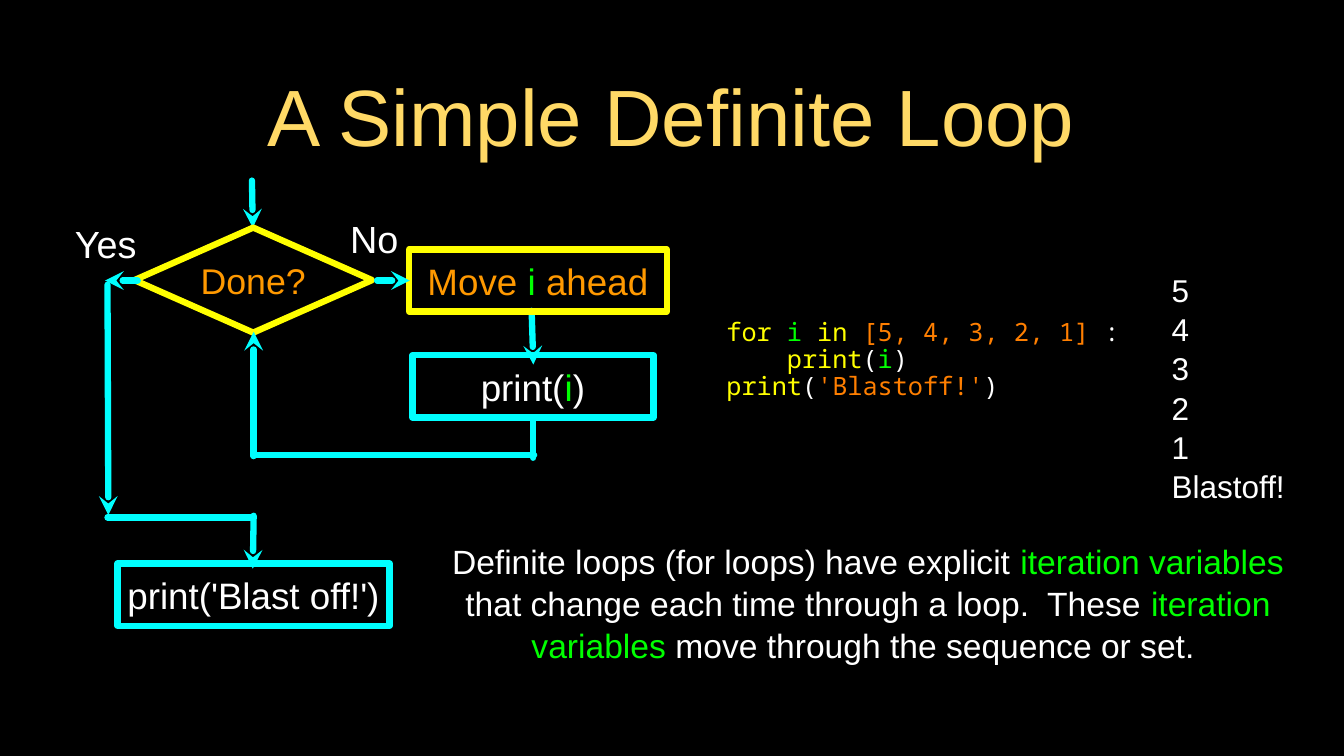
from lxml.etree import SubElement
from pptx import Presentation
from pptx.dml.color import RGBColor
from pptx.enum.shapes import MSO_CONNECTOR, MSO_SHAPE
from pptx.enum.text import MSO_ANCHOR, PP_ALIGN
from pptx.oxml.ns import qn
from pptx.util import Inches, Pt

BLACK = RGBColor(0x00, 0x00, 0x00)
WHITE = RGBColor(0xFF, 0xFF, 0xFF)
GOLD = RGBColor(0xFF, 0xD9, 0x66)
YELLOW = RGBColor(0xFF, 0xFF, 0x00)
GREEN = RGBColor(0x00, 0xFF, 0x00)
ORANGE = RGBColor(0xFF, 0x7F, 0x00)
AMBER = RGBColor(0xFF, 0x99, 0x00)
CYAN = RGBColor(0x00, 0xFF, 0xFF)


def write(frame, paragraphs, size=35, font="Arial", align=PP_ALIGN.CENTER, spacing=1.0, indents=()):
    """Fill a text frame with paragraphs made of (text, colour) runs."""
    frame.word_wrap = True
    frame.vertical_anchor = MSO_ANCHOR.MIDDLE
    frame.margin_left = frame.margin_right = frame.margin_top = frame.margin_bottom = 0
    for row, runs in enumerate(paragraphs):
        paragraph = frame.add_paragraph() if row else frame.paragraphs[0]
        paragraph.alignment = align
        paragraph.line_spacing = spacing
        if row in indents:
            paragraph._p.get_or_add_pPr().set("marL", str(Inches(0.8)))
        for text, colour in runs:
            run = paragraph.add_run()
            run.text = text
            run.font.name = font
            run.font.size = Pt(size)
            run.font.color.rgb = colour


class FlowSlide:
    """Draws elements on one slide, measured in a grid of 160 by 90 cells."""

    cell = Inches(1) / 9
    stroke = Pt(6)

    def __init__(self, deck):
        self.slide = deck.slides.add_slide(deck.slide_layouts[6])
        background = self.slide.background.fill
        background.solid()
        background.fore_color.rgb = BLACK

    def grid(self, *cells):
        return [round(count * self.cell) for count in cells]

    def style_line(self, line, colour):
        line.color.rgb = colour
        line.width = self.stroke
        outline = line._get_or_add_ln()
        outline.set("cap", "rnd")
        SubElement(outline, qn("a:round"))
        return outline

    def text(self, area, paragraphs, **style):
        box = self.slide.shapes.add_textbox(*self.grid(*area))
        write(box.text_frame, paragraphs, **style)

    def step(self, area, runs, colour, kind=MSO_SHAPE.RECTANGLE, **style):
        shape = self.slide.shapes.add_shape(kind, *self.grid(*area))
        shape.shadow.inherit = False
        shape.fill.background()
        self.style_line(shape.line, colour)
        write(shape.text_frame, [runs], **style)

    def flow(self, start, end, arrow=True):
        connector = self.slide.shapes.add_connector(MSO_CONNECTOR.STRAIGHT, *self.grid(*start, *end))
        outline = self.style_line(connector.line, CYAN)
        if arrow:
            SubElement(outline, qn("a:tailEnd"), type="stealth")
        SubElement(connector._element.spPr, qn("a:effectLst"))


deck = Presentation()
deck.slide_width, deck.slide_height = Inches(17.78), Inches(10)
loop = FlowSlide(deck)

loop.text((11.3, 8, 137.2, 11.2), [[("A Simple Definite Loop", GOLD)]], size=76)

code = [
    [("for ", YELLOW), ("i ", GREEN), ("in ", YELLOW), ("[5, 4, 3, 2, 1] ", ORANGE), (":", WHITE)],
    [("print", YELLOW), ("(", WHITE), ("i", GREEN), (")", WHITE)],
    [("print", YELLOW), ("(", WHITE), ("'Blastoff!'", ORANGE), (")", WHITE)],
]
loop.text((86.5, 34.7, 50.2, 16.4), code, size=24, font="Noto Sans Mono",
          align=PP_ALIGN.LEFT, spacing=0.9, indents=(1,))

output = [[(line, WHITE)] for line in ("5", "4", "3", "2", "1", "Blastoff!")]
loop.text((139.5, 30.2, 16.4, 31.8), output, size=30, align=PP_ALIGN.LEFT, spacing=1.04)

loop.flow((30, 21.5), (30.1, 27.1))
loop.step((16, 27.1, 28.3, 12.5), [("Done?", AMBER)], YELLOW, MSO_SHAPE.DIAMOND, size=34)

for start, end, arrow in (
    ((30.2, 54.3), (30.2, 39.5), True),
    ((63.3, 37), (63.5, 43.4), True),
    ((63.5, 49.7), (63.5, 54.5), False),
    ((30.2, 54.2), (63.6, 54.2), False),
    ((16.4, 33.4), (12.5, 33.4), True),
    ((30.2, 61.4), (30.1, 67.7), True),
    ((12.8, 33.9), (12.9, 61.3), True),
    ((12.8, 61.6), (30.1, 61.6), False),
):
    loop.flow(start, end, arrow)

loop.text((6.8, 25.9, 11.6, 6.1), [[("Yes", WHITE)]], size=36)
loop.step((14, 67.1, 32.4, 7.4), [("print('Blast off!')", WHITE)], CYAN)
loop.step((49.1, 42.3, 28.7, 7.4), [("print(", WHITE), ("i", GREEN), (")", WHITE)], CYAN)
loop.text((41, 25.3, 7.1, 6.1), [[("No", WHITE)]], size=36)
loop.step((48.7, 29.7, 30.7, 7.4), [("Move ", AMBER), ("i", GREEN), (" ahead", AMBER)], YELLOW)
loop.flow((44.9, 33.4), (48.8, 33.4))

summary = [
    ("Definite loops (for loops) have explicit ", WHITE),
    ("iteration variables ", GREEN),
    ("that change each time through a loop.  These ", WHITE),
    ("iteration variables", GREEN),
    (" move through the sequence or set. ", WHITE),
]
loop.text((53.5, 63.5, 99.7, 16.4), [summary], size=32, spacing=1.05)

deck.save("out.pptx")
